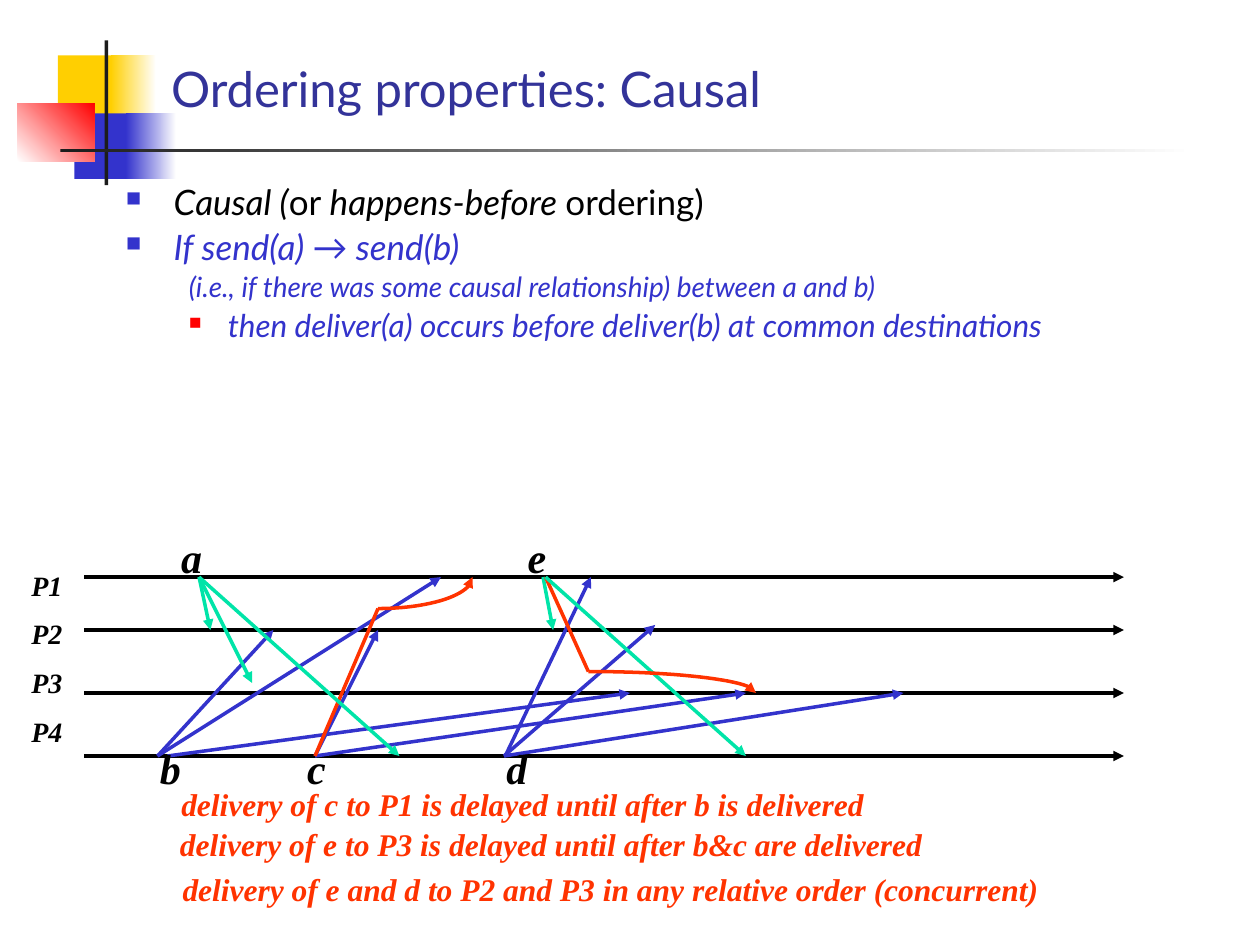
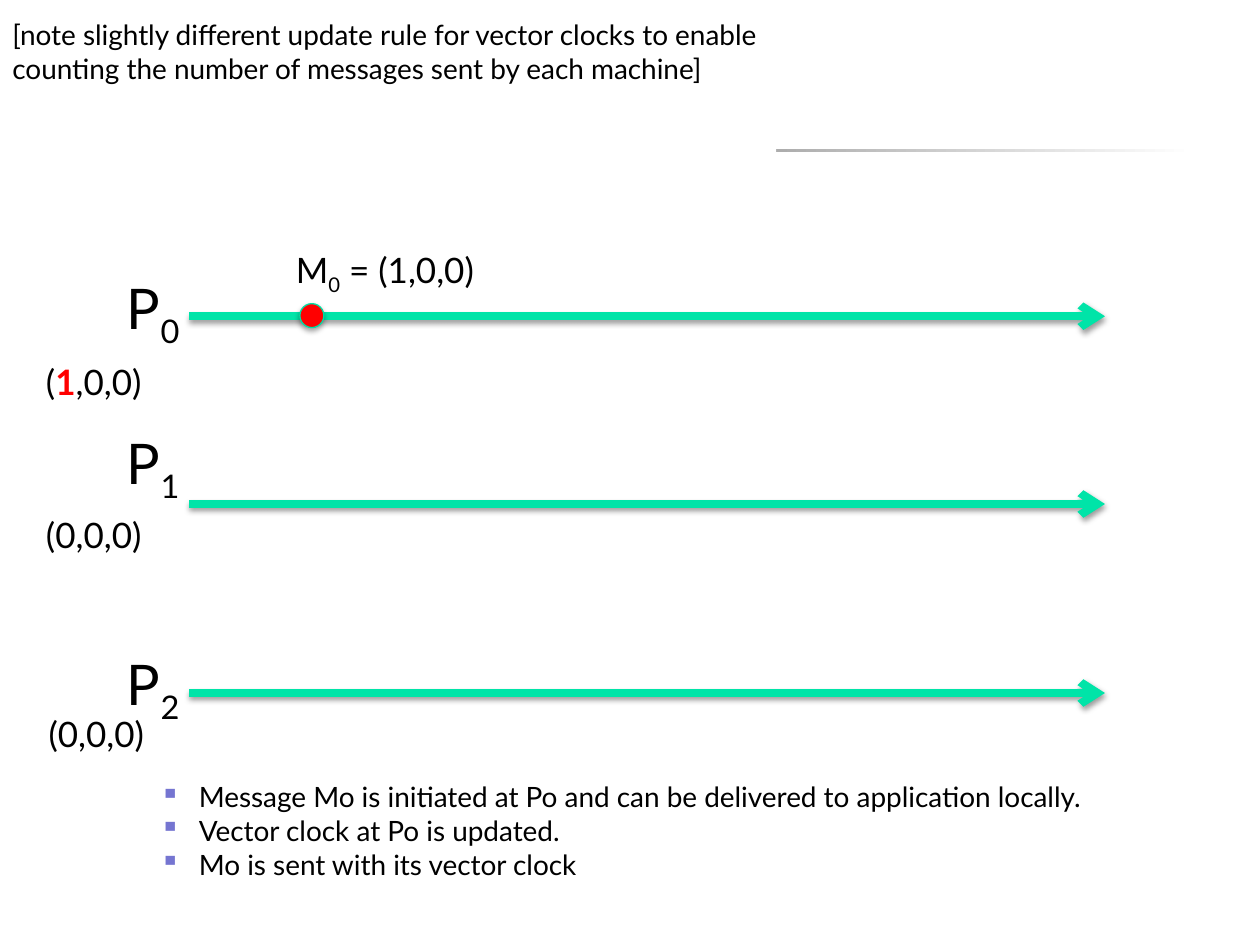
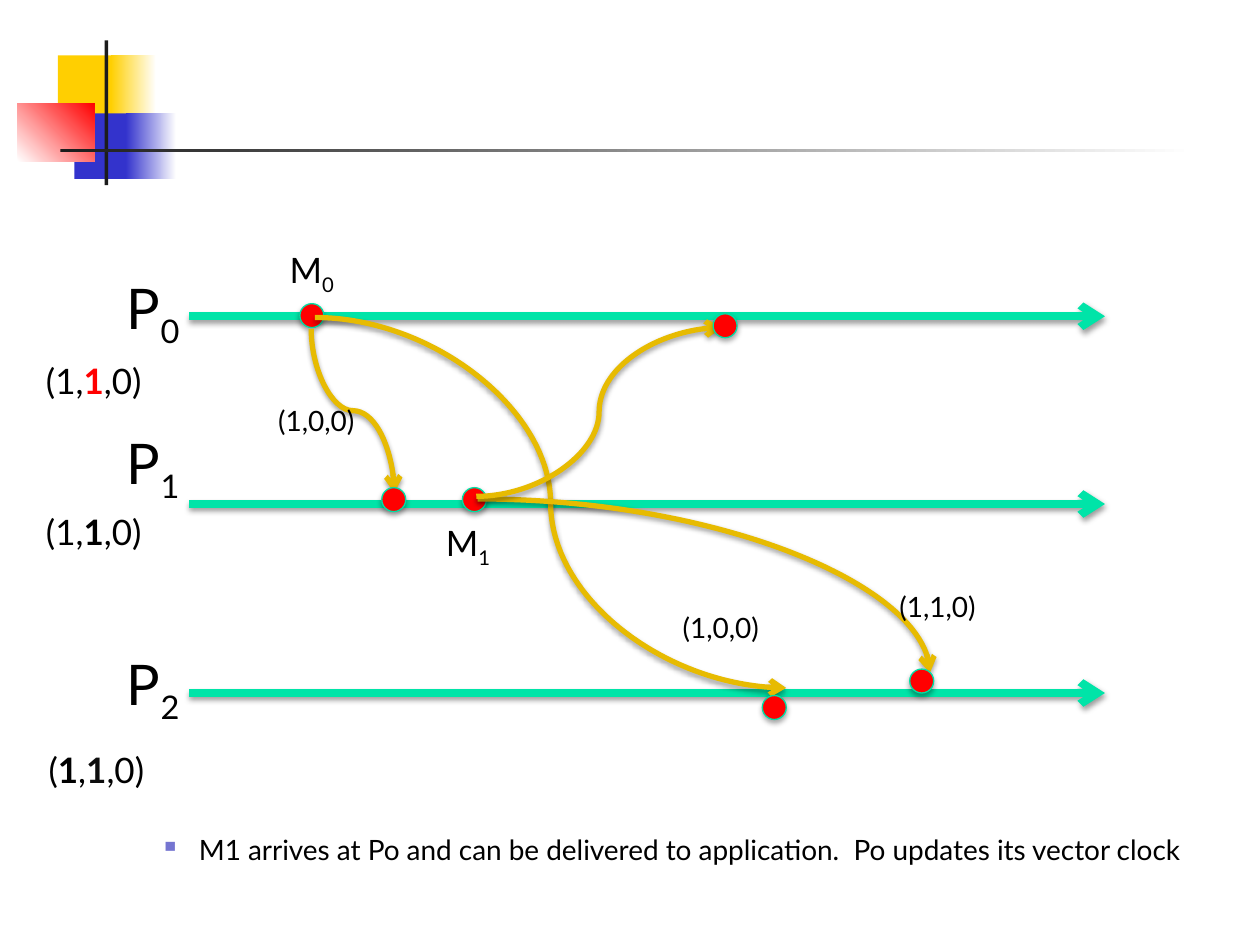
from math import cos, pi, sin

from lxml import etree
from pptx import Presentation
from pptx.dml.color import RGBColor
from pptx.enum.shapes import MSO_CONNECTOR, MSO_SHAPE
from pptx.enum.text import MSO_ANCHOR, PP_ALIGN
from pptx.oxml.ns import qn
from pptx.util import Cm, Pt

RECTANGLE, OVAL = MSO_SHAPE.RECTANGLE, MSO_SHAPE.OVAL
STRAIGHT, CURVE = MSO_CONNECTOR.STRAIGHT, MSO_CONNECTOR.CURVE
MIDDLE, TOP = MSO_ANCHOR.MIDDLE, MSO_ANCHOR.TOP
LEFT, CENTER = PP_ALIGN.LEFT, PP_ALIGN.CENTER

SANS, SERIF = "Lato", "Times New Roman"
BLACK, WHITE, INK = "000000", "FFFFFF", "1C1C1C"
BLUE, TITLE_BLUE, PALE_BLUE = "3333CC", "333399", "7575D1"
RED, ORANGE, GREEN = "FF0000", "FF3300", "00E4A8"
YELLOW, GOLD, DOT_EDGE = "FFCF01", "E7BB01", "00DFA4"

# ---- Content; places are in inches: left, top, width, height ----

# Corner ornament: place, colours (two make a gradient), angle
SQUARES = [
    ((0.46, 0.44, 0.48, 0.52), [YELLOW], 0),
    ((0.88, 0.44, 0.36, 0.52), [YELLOW, WHITE], 0),
    ((0.59, 0.9, 0.46, 0.52), [BLUE], 0),
    ((1, 0.9, 0.4, 0.52), [BLUE, WHITE], 0),
    ((0.14, 0.82, 0.61, 0.46), [WHITE, RED], 45),
    ((0.83, 0.32, 0.03, 1.15), [INK], 0),
]
TITLE_RULE = ((0.48, 1.18, 9, 0.03), [INK, WHITE], 0)

# Spans are (text, flags, colour): b bold, i italic, s subscript
CAUSAL_TITLE = "Ordering properties: Causal"
CAUSAL_BODY = [
    dict(spans=[("Causal (", "i"), ("or ",), ("happens-before ", "i"), ("ordering)",)],
         size=20, indent=(0.38, -0.38), bullet=("■", BLUE, 60)),
    dict(spans=[("If send(a) → send(b)", "i", BLUE)],
         size=20, indent=(0.38, -0.38), bullet=("■", BLUE, 60)),
    dict(spans=[("(i.e., if there was some causal relationship) between a and b)", "i", BLUE)],
         size=16, indent=(0.5, 0)),
    dict(spans=[("then deliver(a) occurs before deliver(b) at common destinations", "i", BLUE)],
         size=18, indent=(0.81, -0.31), bullet=("■", RED, 55)),
]
PROCESS_LEVELS = [4.58, 5, 5.5, 6]
PROCESS_NAMES = ["P1", "P2", "P3", "P4"]
EVENTS = [("a", 1.34, 4.17), ("b", 1.17, 5.84), ("c", 2.34, 5.84),
          ("d", 3.92, 5.84), ("e", 4.09, 4.17)]
MESSAGES = [  # start, end, colour, arrowhead
    ((1.25, 6), (2.17, 5), BLUE, "triangle"),
    ((1.33, 6), (5, 5.5), BLUE, "triangle"),
    ((1.25, 6), (3.5, 4.58), BLUE, "triangle"),
    ((4, 6), (7.17, 5.5), BLUE, "triangle"),
    ((4, 6), (5.2, 4.96), BLUE, "triangle"),
    ((4.01, 6), (4.69, 4.58), BLUE, "triangle"),
    ((2.5, 6), (5.92, 5.5), BLUE, "triangle"),
    ((2.5, 6), (3, 5), BLUE, "triangle"),
    ((2.5, 6), (3, 4.83), ORANGE, None),
    ((1.58, 4.58), (1.67, 5), GREEN, "triangle"),
    ((1.58, 4.58), (2, 5.42), GREEN, "triangle"),
    ((1.58, 4.58), (3.17, 6), GREEN, "triangle"),
    ((4.31, 4.58), (4.39, 5), GREEN, "triangle"),
    ((4.33, 4.58), (4.67, 5.33), ORANGE, None),
    ((4.33, 4.58), (5.92, 6), GREEN, "triangle"),
]
DELAYS = [((3, 4.83), (3.75, 4.58)), ((4.67, 5.33), (6, 5.5))]
DELIVERIES = [
    ("delivery of c to P1 is delayed until after b is delivered", (1.34, 6.18, 5.99, 0.4), None),
    ("delivery of e to P3 is delayed until after b&c are delivered", (1.33, 6.5, 6.52, 0.4), None),
    ("delivery of e and d to P2 and P3 in any relative order (concurrent)",
     (1.35, 6.86, 8.08, 0.4), WHITE),
]

CLOCK_LEVELS = [2.51, 4, 5.5]
CLOCK_NAME_TOPS = [2.23, 3.46, 5.21]
RULE_NOTE = ("[note slightly different update rule for vector clocks to enable "
             "counting the number of messages sent by each machine]")
SENT_CLOCKS = [
    ([("(",), ("1", "b", RED), (",0,0)",)], -0.19, 2.74),
    ([("(0,0,0)",)], -0.19, 3.95),
    ([("(0,0,0)",)], -0.17, 5.53),
]
SENT_STEPS = [
    "Message Mo is initiated at Po and can be delivered to application locally.",
    "Vector clock at Po is updated.",
    "Mo is sent with its vector clock",
]
ARRIVED_CLOCKS = [
    ([("(1,",), ("1", "b", RED), (",0)",)], -0.19, 2.73),
    ([("(1,",), ("1", "b"), (",0)",)], -0.19, 3.93),
    ([("(",), ("1", "b"), (",",), ("1", "b", "0D0D0D"), (",0)",)], -0.17, 5.82),
]
ARRIVED_STEPS = [
    "M1 arrives at Po and can be delivered to application.  Po updates its vector clock",
]
M0_DOT = (2.38, 2.41)
M1_DOT = (3.67, 3.87)
ARRIVAL_DOTS = [(3.03, 3.87), (7.22, 5.31), (6.05, 5.52), (5.66, 2.49)]
CARRIED_CLOCKS = [("(1,0,0)", 2.11, 3.15), ("(1,1,0)", 7.04, 4.63), ("(1,0,0)", 5.32, 4.8)]
FLIGHTS = [  # start, end, preset, rotation in degrees
    ((3.45, 2.93), (2.15, 3.59), "curvedConnector3", 270),
    ((2.5, 2.52), (6.24, 5.46), "curvedConnector3", 0),
    ((3.79, 3.96), (7.38, 5.34), "curvedConnector2", 0),
    ((3.78, 3.94), (5.73, 2.6), "curvedConnector3", 0),
]


# ---- Drawing helpers ----

def inches(*values):
    return [Cm(value * 2.54) for value in values]


def color(value):
    return RGBColor.from_string(value)


def set_effects(shape, shadow=None):
    """Give a shape no shadow, or one of (opacity %, distance in points)."""
    effects = etree.SubElement(shape._element.spPr, qn("a:effectLst"))
    if shadow:
        opacity, distance = shadow
        outer = etree.SubElement(effects, qn("a:outerShdw"), blurRad=str(Pt(3.1)),
                                 dist=str(Pt(distance)), dir="5400000", rotWithShape="0")
        black = etree.SubElement(outer, qn("a:srgbClr"), val=BLACK)
        etree.SubElement(black, qn("a:alpha"), val=str(opacity * 1000))


def style_line(shape, line_color, width, arrow=None, shadow=None):
    shape.line.color.rgb = color(line_color)
    shape.line.width = Pt(width)
    if arrow:
        etree.SubElement(shape.line._get_or_add_ln(), qn("a:tailEnd"), type=arrow)
    set_effects(shape, shadow)


def add_line(page, start, end, line_color, width, arrow=None, shadow=None, kind=STRAIGHT):
    line = page.shapes.add_connector(kind, *inches(*start, *end))
    style_line(line, line_color, width, arrow, shadow)
    return line


def add_block(page, place, colors, angle):
    block = page.shapes.add_shape(RECTANGLE, *inches(*place))
    block.shadow.inherit = False
    block.line.fill.background()
    if len(colors) == 1:
        block.fill.solid()
        block.fill.fore_color.rgb = color(colors[0])
        return
    block.fill.gradient()
    block.fill.gradient_angle = angle
    for position, (stop, value) in enumerate(zip(block.fill.gradient_stops, colors)):
        stop.position = position
        stop.color.rgb = color(value)


def add_bullet(para, indent, bullet):
    properties = para._p.get_or_add_pPr()
    margin, first = inches(*indent)
    properties.set("marL", str(margin))
    properties.set("indent", str(first))
    if bullet:
        mark, mark_color, percent = bullet
        holder = etree.SubElement(properties, qn("a:buClr"))
        etree.SubElement(holder, qn("a:srgbClr"), val=mark_color)
        etree.SubElement(holder, qn("a:buSzPct"), val=str(percent * 1000))
        holder.addnext(properties[-1]) if len(properties) > 1 else None
        size = holder.find(qn("a:buSzPct"))
        if size is not None:
            holder.addnext(size)
        etree.SubElement(properties, qn("a:buChar"), char=mark)


def format_span(span, flags, size, font, span_color):
    span.font.size = Pt(size)
    span.font.name = font
    span.font.color.rgb = color(span_color)
    span.font.bold = "b" in flags
    span.font.italic = "i" in flags
    if "s" in flags:
        span.font._element.set("baseline", "-25000")


def add_text(page, place, paragraphs, size=20, font=SANS, align=LEFT, anchor=TOP,
             fill=None, before=0, spacing=None):
    """Each paragraph is a dict with spans and, if needed, size, indent and bullet."""
    box = page.shapes.add_textbox(*inches(*place))
    if fill:
        box.fill.solid()
        box.fill.fore_color.rgb = color(fill)
    frame = box.text_frame
    frame.word_wrap = True
    frame.vertical_anchor = anchor
    for index, content in enumerate(paragraphs):
        para = frame.add_paragraph() if index else frame.paragraphs[0]
        para_size = content.get("size", size)
        if "indent" in content:
            add_bullet(para, content["indent"], content.get("bullet"))
        para.alignment = align
        if spacing:
            para.line_spacing = spacing
        if index and before:
            para.space_before = Pt(para_size * before)
        for text, *look in content["spans"]:
            flags, span_color = (look + ["", BLACK][len(look):])
            span = para.add_run()
            span.text = text
            format_span(span, flags, para_size, font, span_color)


def plain(text, flags="", span_color=BLACK):
    return dict(spans=[(text, flags, span_color)])


def add_centered(page, place, spans, size=20):
    add_text(page, place, [dict(spans=spans)], size, align=CENTER, anchor=MIDDLE)


def add_arc(page, start, end):
    """Draw a quarter ellipse that leaves start horizontally."""
    (left, top), (right, bottom) = start, end
    steps = 24
    angles = [pi / 2 * step / steps for step in range(steps + 1)]
    points = [inches(left + (right - left) * sin(angle), bottom + (top - bottom) * cos(angle))
              for angle in angles]
    builder = page.shapes.build_freeform(*points[0])
    builder.add_line_segments(points[1:], close=False)
    arc = builder.convert_to_shape()
    arc.fill.background()
    style_line(arc, ORANGE, 2, "triangle")


def add_dot(page, corner):
    dot = page.shapes.add_shape(OVAL, *inches(*corner, 0.19, 0.19))
    dot.fill.solid()
    dot.fill.fore_color.rgb = color(RED)
    style_line(dot, DOT_EDGE, 0.75, shadow=(35, 1.8))


def add_flight(page, start, end, preset, rotation):
    flight = add_line(page, start, end, GOLD, 3, "arrow", (38, 1.6), CURVE)
    properties = flight._element.spPr
    properties.find(qn("a:prstGeom")).set("prst", preset)
    if rotation:
        properties.find(qn("a:xfrm")).set("rot", str(rotation * 60000))


def add_page(deck, ornament=True):
    page = deck.slides.add_slide(deck.slide_layouts[6])
    for block in (SQUARES if ornament else []) + [TITLE_RULE]:
        add_block(page, *block)
    return page


def add_clock_diagram(page, clocks, steps, steps_top):
    for number, (level, top) in enumerate(zip(CLOCK_LEVELS, CLOCK_NAME_TOPS)):
        add_line(page, (1.5, level), (8.77, level), GREEN, 4.5, "arrow", (38, 1.6))
        add_centered(page, (0.86, top, 0.71, 0.49), [("P",), (str(number), "s")], 32)
    for spans, left, top in clocks:
        add_centered(page, (left, top, 1.87, 0.58), spans)
    bullets = [dict(spans=[(step,)], indent=(0.31, -0.31), bullet=("▪", PALE_BLUE, 100))
               for step in steps]
    add_text(page, (1.17, steps_top, 8.61, 0.1 + 0.27 * len(steps)), bullets, 16)
    add_dot(page, M0_DOT)


# ---- Slides ----

def build_causal(deck):
    page = add_page(deck)
    add_text(page, (1.26, 0.23, 8.52, 0.93), [plain(CAUSAL_TITLE, "", TITLE_BLUE)], 28,
             anchor=MIDDLE)
    for level in PROCESS_LEVELS:
        add_line(page, (0.67, level), (8.92, level), BLACK, 2, "triangle")
    for start, end, line_color, arrow in MESSAGES:
        add_line(page, start, end, line_color, 2, arrow)
    for start, end in DELAYS:
        add_arc(page, start, end)
    for name, left, top in EVENTS:
        add_text(page, (left, top, 0.33, 0.5), [plain(name, "bi")], 24, SERIF)
    add_text(page, (0.15, 4.46, 0.64, 1.57), [plain(name, "bi") for name in PROCESS_NAMES],
             16, SERIF, before=0.54)
    for text, place, fill in DELIVERIES:
        add_text(page, place, [plain(text, "bi", ORANGE)], 18, SERIF, fill=fill)
    add_text(page, (0.9, 1.42, 8.5, 2.34), CAUSAL_BODY, before=0.2, spacing=0.9)


def build_sent(deck):
    page = add_page(deck, ornament=False)
    add_clock_diagram(page, SENT_CLOCKS, SENT_STEPS, 6.14)
    add_centered(page, (2.12, 1.87, 1.87, 0.58), [("M",), ("0", "s"), (" = (1,0,0)",)])
    add_text(page, (0, 0.09, 6.16, 1.45), [plain(RULE_NOTE)], 16, fill=WHITE)


def build_arrived(deck):
    page = add_page(deck)
    add_clock_diagram(page, ARRIVED_CLOCKS, ARRIVED_STEPS, 6.56)
    add_dot(page, M1_DOT)
    for number, left, top in [("0", 2.12, 1.87), ("1", 3.36, 4.04)]:
        add_centered(page, (left, top, 0.71, 0.58), [("M",), (number, "s")])
    for flight in FLIGHTS:
        add_flight(page, *flight)
    for corner in ARRIVAL_DOTS:
        add_dot(page, corner)
    for text, left, top in CARRIED_CLOCKS:
        add_text(page, (left, top, 0.93, 0.37), [plain(text)], 16)


def main():
    deck = Presentation()
    deck.slide_width, deck.slide_height = inches(10, 7.5)
    build_causal(deck)
    build_sent(deck)
    build_arrived(deck)
    deck.save("out.pptx")


if __name__ == "__main__":
    main()
